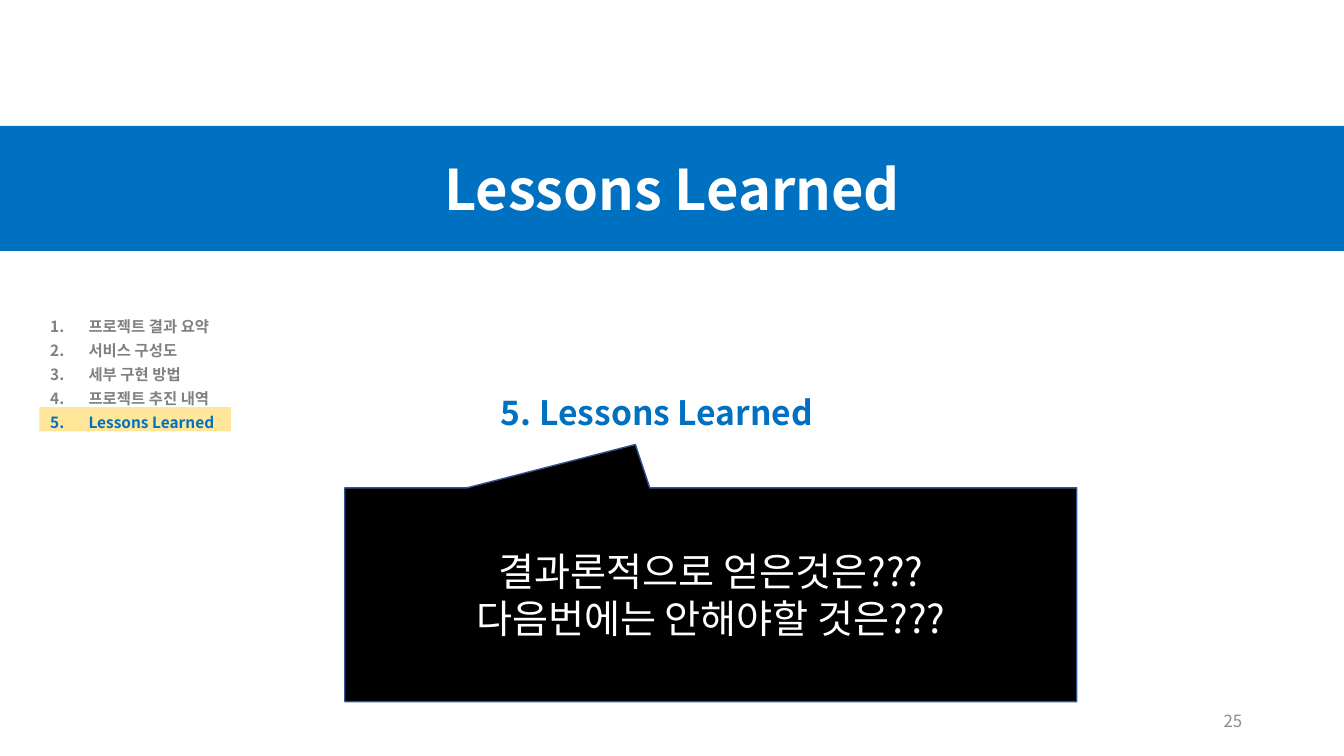
"""Build the "Lessons Learned" section slide with its agenda and callout."""
from lxml.etree import SubElement
from pptx import Presentation
from pptx.dml.color import RGBColor
from pptx.enum.shapes import MSO_SHAPE
from pptx.enum.text import MSO_ANCHOR, MSO_AUTO_SIZE, PP_ALIGN
from pptx.oxml.ns import qn
from pptx.util import Inches, Pt

THEME = {
    "font": "Noto Sans CJK KR",
    "blue": RGBColor.from_string("0070C0"),
    "yellow": RGBColor.from_string("FFE699"),
    "black": RGBColor.from_string("000000"),
    "white": RGBColor.from_string("FFFFFF"),
    "gray": RGBColor.from_string("808080"),
    "light_gray": RGBColor.from_string("8C8C8C"),
    "outline": RGBColor.from_string("325491"),
    "banner": Pt(40),
    "heading": Pt(24),
    "callout": Pt(28),
    "agenda": Pt(11),
    "page_number": Pt(12),
}


def add_panel(page, kind, bounds, fill):
    panel = page.shapes.add_shape(kind, *map(Inches, bounds))
    panel.shadow.inherit = False
    panel.fill.solid()
    panel.fill.fore_color.rgb = THEME[fill]
    panel.line.fill.background()
    return panel


def write(box, lines, size, color, bold=False, frame_format=None, para_format=None, numbered=False):
    frame = box.text_frame
    frame.word_wrap = True
    for name, value in (frame_format or {}).items():
        setattr(frame, name, value)
    for index, line in enumerate(lines):
        para = frame.paragraphs[0] if index == 0 else frame.add_paragraph()
        for name, value in (para_format or {}).items():
            setattr(para, name, value)
        if numbered:
            properties = para._p.get_or_add_pPr()
            properties.set("marL", str(Inches(0.38)))
            properties.set("indent", str(Inches(-0.38)))
            SubElement(properties, qn("a:buFont"), typeface="+mj-lt")
            SubElement(properties, qn("a:buAutoNum"), type="arabicPeriod")
        span = para.add_run()
        span.text = line
        span_format = {"name": THEME["font"], "size": THEME[size], "bold": bold}
        for name, value in span_format.items():
            setattr(span.font, name, value)
        span.font.color.rgb = THEME[color]
        SubElement(span._r.get_or_add_rPr(), qn("a:ea"), typeface=THEME["font"])


deck = Presentation()
deck.slide_width = Inches(13.33)
deck.slide_height = Inches(7.5)
page = deck.slides.add_slide(deck.slide_layouts[6])

middle = {"vertical_anchor": MSO_ANCHOR.MIDDLE}
growing = {"auto_size": MSO_AUTO_SIZE.SHAPE_TO_FIT_TEXT}
centered = {"alignment": PP_ALIGN.CENTER}
spaced = {"line_spacing": 1.3}

add_panel(page, MSO_SHAPE.RECTANGLE, (0.39, 4.04, 1.9, 0.24), "yellow")

banner = add_panel(page, MSO_SHAPE.RECTANGLE, (0, 1.25, 13.33, 1.24), "blue")
write(banner, ["Lessons Learned"], "banner", "white", True, middle, centered)

agenda = page.shapes.add_textbox(*map(Inches, (0.4, 3.04, 2.83, 1.29)))
topics = ["프로젝트 결과 요약", "서비스 구성도", "세부 구현 방법", "프로젝트 추진 내역", "Lessons Learned"]
write(agenda, topics, "agenda", "gray", True, growing, spaced, numbered=True)
agenda.text_frame.paragraphs[-1].runs[0].font.color.rgb = THEME["blue"]

page_number = page.shapes.add_textbox(*map(Inches, (9.42, 6.95, 3, 0.4)))
write(page_number, ["25"], "page_number", "light_gray", False, middle, {"alignment": PP_ALIGN.RIGHT})

heading = page.shapes.add_textbox(*map(Inches, (4.87, 3.72, 5.34, 0.59)))
write(heading, ["5. Lessons Learned"], "heading", "blue", True, growing, spaced)

callout = add_panel(page, MSO_SHAPE.RECTANGULAR_CALLOUT, (3.42, 4.84, 7.26, 2.12), "black")
callout.adjustments[0] = -0.103
callout.adjustments[1] = -0.703
callout.line.color.rgb = THEME["outline"]
callout.line.width = Pt(1)
questions = ["결과론적으로 얻은것은???", "다음번에는 안해야할 것은???"]
write(callout, questions, "callout", "white", False, middle, centered)

deck.save("out.pptx")
